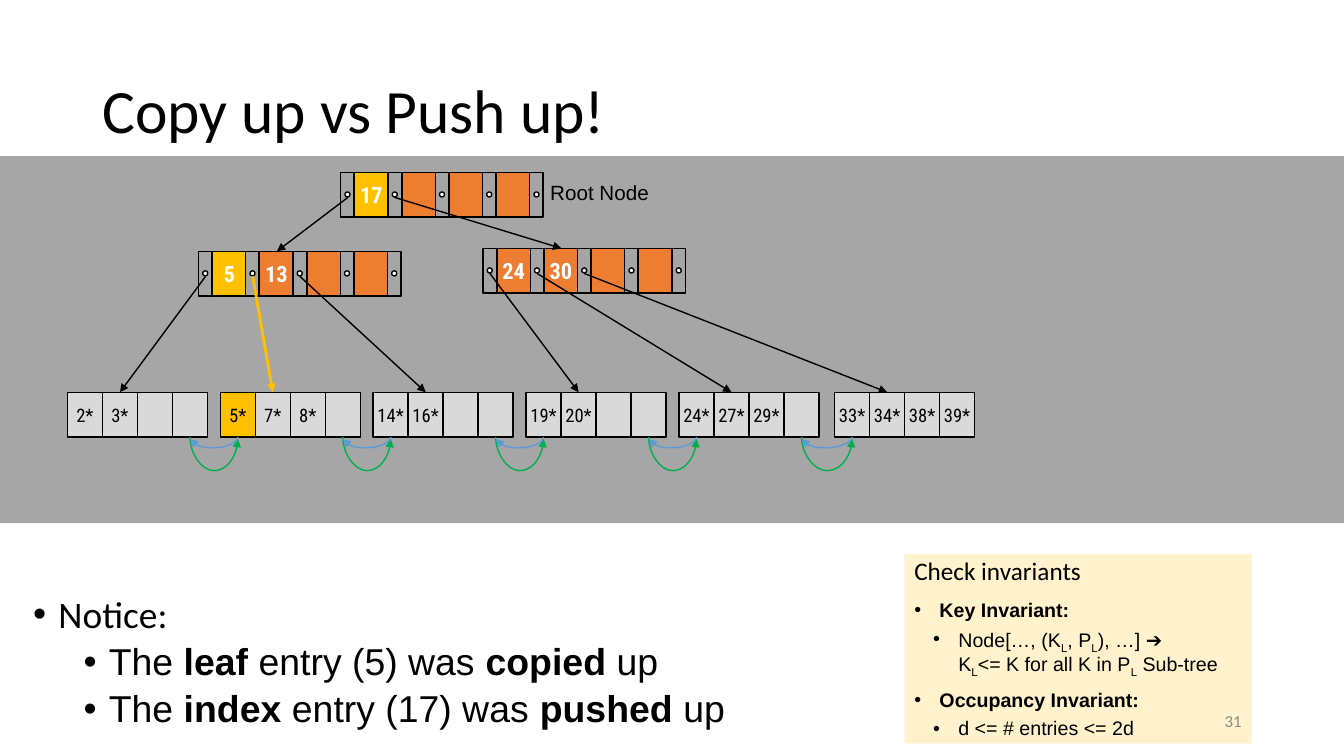
import pptx
import pptx.dml.color
import pptx.enum.shapes
import pptx.enum.text
import pptx.oxml
import pptx.oxml.ns
import pptx.util

Pt = pptx.util.Pt
RGBColor = pptx.dml.color.RGBColor
SHAPE = pptx.enum.shapes.MSO_SHAPE
CONNECTOR = pptx.enum.shapes.MSO_CONNECTOR
ALIGN = pptx.enum.text.PP_ALIGN
ANCHOR = pptx.enum.text.MSO_ANCHOR
qn = pptx.oxml.ns.qn

BLACK = RGBColor(0x00, 0x00, 0x00)
WHITE = RGBColor(0xFF, 0xFF, 0xFF)
BAND_GREY = RGBColor(0xA6, 0xA6, 0xA6)
POINTER_GREY = RGBColor(0xA5, 0xA5, 0xA5)
LEAF_GREY = RGBColor(0xD9, 0xD9, 0xD9)
NUMBER_GREY = RGBColor(0x8C, 0x8C, 0x8C)
ORANGE = RGBColor(0xED, 0x7D, 0x31)
GOLD = RGBColor(0xFF, 0xC0, 0x00)
CREAM = RGBColor(0xFF, 0xF2, 0xCC)
GREEN = RGBColor(0x00, 0xB0, 0x50)
BLUE = RGBColor(0x5B, 0x9B, 0xD5)

CELL_HEIGHT = 32
KEY_WIDTH, POINTER_WIDTH, KEY_PITCH = 24, 9.6, 33.75
KEYS_PER_NODE = 4
LEAF_CELL_WIDTH = 25

# Each index node: left, top, keys. Root first, then its two children.
INDEX_NODES = [
    (243.4, 123.1, ["17"]),
    (141.8, 179.5, ["5", "13"]),
    (345, 177.4, ["24", "30"]),
]
LEAVES = [["2*", "3*"], ["5*", "7*", "8*"], ["14*", "16*"],
          ["19*", "20*"], ["24*", "27*", "29*"], ["33*", "34*", "38*", "39*"]]
LEAF_TOP = 280.2
LEAF_LEFTS = [48.2 + 109.2 * position for position in range(5)] + [596.2]
HIGHLIGHTED = {"17", "5", "5*"}


def add_block(shapes, kind, left, top, width, height, fill, outlined=True):
    block = shapes.add_shape(kind, Pt(left), Pt(top), Pt(width), Pt(height))
    block.shadow.inherit = False
    block.fill.solid()
    block.fill.fore_color.rgb = fill
    if outlined:
        block.line.color.rgb = BLACK
        block.line.width = Pt(1)
    else:
        block.line.fill.background()
    return block


def format_runs(paragraph, font, size, color, bold=None):
    for run in paragraph.runs:
        run.font.name = font
        run.font.size = Pt(size)
        run.font.color.rgb = color
        if bold is not None:
            run.font.bold = bold


def write_entry(cell, entry, size, color, bold):
    frame = cell.text_frame
    frame.margin_left = frame.margin_right = 0
    frame.vertical_anchor = ANCHOR.MIDDLE
    frame.word_wrap = False
    frame.text = entry
    frame.paragraphs[0].alignment = ALIGN.CENTER
    format_runs(frame.paragraphs[0], "Roboto Condensed", size, color, bold)


def add_index_node(slide, left, top, keys):
    node = slide.shapes.add_group_shape().shapes
    for slot in range(KEYS_PER_NODE + 1):
        pointer_left = left + slot * KEY_PITCH
        add_block(node, SHAPE.RECTANGLE, pointer_left, top, POINTER_WIDTH, CELL_HEIGHT, POINTER_GREY)
        add_block(node, SHAPE.OVAL, pointer_left + 3, top + 14, 3.6, 3.6, WHITE)
        if slot < KEYS_PER_NODE:
            key = keys[slot] if slot < len(keys) else ""
            fill = GOLD if key in HIGHLIGHTED else ORANGE
            cell = add_block(node, SHAPE.RECTANGLE, pointer_left + 9.9, top, KEY_WIDTH, CELL_HEIGHT, fill)
            if key:
                write_entry(cell, key, 16, WHITE, True)


def add_leaf(slide, left, top, entries):
    leaf = slide.shapes.add_group_shape().shapes
    for slot in range(4):
        entry = entries[slot] if slot < len(entries) else ""
        fill = GOLD if entry in HIGHLIGHTED else LEAF_GREY
        cell = add_block(leaf, SHAPE.RECTANGLE, left + slot * LEAF_CELL_WIDTH, top,
                         LEAF_CELL_WIDTH, CELL_HEIGHT, fill)
        if entry:
            write_entry(cell, entry, 13.3, BLACK, False)


def add_arrow(slide, kind, start, end, color, width=1):
    arrow = slide.shapes.add_connector(kind, *(Pt(length) for length in start + end))
    arrow.line.color.rgb = color
    arrow.line.width = Pt(width)
    pptx.oxml.ns  # namespace helpers
    line = arrow.line._get_or_add_ln()
    line.append(line.makeelement(qn("a:tailEnd"), {"type": "triangle"}))
    properties = arrow.element.spPr
    properties.append(properties.makeelement(qn("a:effectLst"), {}))
    return arrow


def add_child_arrow(slide, parent, slot, child, color=BLACK, width=1):
    start = (parent[0] + slot * KEY_PITCH + 5, parent[1] + 18)
    add_arrow(slide, CONNECTOR.STRAIGHT, start, child, color, width)


def add_sibling_link(slide, left, right, top, color, rotation, flipped, bend):
    """Hang a U-shaped arrow below two leaves: a turned, curved connector."""
    rise, span = 1.32, right - left
    center_x, center_y = (left + right) / 2, top + rise / 2
    start = (center_x - rise / 2, center_y - span / 2)
    end = (center_x + rise / 2, center_y + span / 2)
    link = add_arrow(slide, CONNECTOR.CURVE, start, end, color)
    transform = link.element.spPr.find(qn("a:xfrm"))
    transform.set("rot", str(rotation * 60000))
    if flipped:
        transform.set("flipH", "1")
    guides = link.element.spPr.find(qn("a:prstGeom")).find(qn("a:avLst"))
    guides.append(guides.makeelement(qn("a:gd"), {"name": "adj1", "fmla": f"val {bend}"}))


def add_tree(slide):
    add_block(slide.shapes, SHAPE.RECTANGLE, 0, 111.6, 960, 262.1, BAND_GREY, outlined=False)
    for left, top, keys in INDEX_NODES:
        add_index_node(slide, left, top, keys)
    for left, entries in zip(LEAF_LEFTS, LEAVES):
        add_leaf(slide, left, LEAF_TOP, entries)

    root, *children = INDEX_NODES
    for slot, child in enumerate(children):
        add_child_arrow(slide, root, slot, (child[0] + 56, child[1]))
    for position, (left, entries) in enumerate(zip(LEAF_LEFTS, LEAVES)):
        copied = entries[0] in HIGHLIGHTED
        add_child_arrow(slide, children[position // 3], position % 3, (left + 37.5, LEAF_TOP),
                        GOLD if copied else BLACK, 2 if copied else 1)

    for left, next_left in zip(LEAF_LEFTS, LEAF_LEFTS[1:]):
        ends = (left + 3.5 * LEAF_CELL_WIDTH, next_left + LEAF_CELL_WIDTH / 2, LEAF_TOP + CELL_HEIGHT)
        add_sibling_link(slide, *ends, GREEN, 270, True, 1800000)
        add_sibling_link(slide, *ends, BLUE, 90, False, 575000)
    add_label(slide, 385.9, 124.6, 85.7, 25.2, "Root Node", "Arial", 14.7, BLACK)


def add_label(slide, left, top, width, height, words, font, size, color, alignment=ALIGN.LEFT):
    label = slide.shapes.add_textbox(Pt(left), Pt(top), Pt(width), Pt(height))
    label.text_frame.text = words
    label.text_frame.vertical_anchor = ANCHOR.MIDDLE
    label.text_frame.paragraphs[0].alignment = alignment
    format_runs(label.text_frame.paragraphs[0], font, size, color)


def write_item(paragraph, segments, font, size, indent=None, before=0, subscript=False):
    """Write segments, every second one bold or, if asked, subscript."""
    if indent is not None:
        properties = paragraph._p.get_or_add_pPr()
        properties.set("marL", str(Pt(indent)))
        properties.set("indent", str(Pt(-18)))
        properties.append(properties.makeelement(qn("a:buFont"), {"typeface": "Arial"}))
        properties.append(properties.makeelement(qn("a:buChar"), {"char": "•"}))
    paragraph.alignment = ALIGN.LEFT
    paragraph.line_spacing = 0.9
    paragraph.space_before = Pt(before)
    for position, segment in enumerate(segments):
        for row, words in enumerate(segment.split("\v")):
            if row:
                paragraph.add_line_break()
            run = paragraph.add_run()
            run.text = words
            if position % 2 and subscript:
                run._r.get_or_add_rPr().set("baseline", "-25000")
            else:
                run.font.bold = position % 2 == 1
    format_runs(paragraph, font, size, BLACK)


def place(placeholder, left, top, width, height):
    placeholder.left, placeholder.top = Pt(left), Pt(top)
    placeholder.width, placeholder.height = Pt(width), Pt(height)
    placeholder.text_frame.auto_size = pptx.enum.text.MSO_AUTO_SIZE.NONE


def fill_title(title, left, top, width, height):
    place(title, left, top, width, height)
    title.text_frame.vertical_anchor = ANCHOR.MIDDLE
    write_item(title.text_frame.paragraphs[0], ["Copy up vs Push up!"], "Calibri", 44)


def fill_notice(body, left, top, width, height):
    place(body, left, top, width, height)
    frame = body.text_frame
    write_item(frame.paragraphs[0], ["Notice:"], "Calibri", 26.7, indent=18)
    for segments in (["The ", "leaf", " entry (5) was ", "copied", " up"],
                     ["The ", "index", " entry (17) was ", "pushed ", "up"]):
        point = frame.add_paragraph()
        point.level = 1
        write_item(point, segments, "Arial", 26.7, indent=54, before=5)


def add_invariants(slide, left, top, width, height):
    panel = add_block(slide.shapes, SHAPE.RECTANGLE, left, top, width, height, CREAM, outlined=False)
    frame = panel.text_frame
    frame.word_wrap = True
    frame.vertical_anchor = ANCHOR.TOP
    write_item(frame.paragraphs[0], ["Check invariants"], "Calibri", 18)
    pointer_rule = ["Node[…, (K", "L", ", P", "L", "), …] ➔ \vK", "L",
                    "<= K for all K in P", "L", " Sub-tree"]
    for name, rule in (("Key Invariant:", pointer_rule),
                       ("Occupancy Invariant:", ["d <= # entries <= 2d"])):
        write_item(frame.add_paragraph(), ["", name], "Arial", 14, indent=18, before=10)
        detail = frame.add_paragraph()
        detail.level = 2
        write_item(detail, rule, "Arial", 14, indent=31.5, before=5, subscript=True)


def main():
    deck = pptx.Presentation()
    deck.slide_width, deck.slide_height = Pt(960), Pt(540)
    slide = deck.slides.add_slide(deck.slide_layouts[1])
    fill_title(slide.shapes.title, 66, 28.75, 828, 104.4)
    fill_notice(slide.placeholders[1], 16.5, 422, 864, 118)
    add_tree(slide)
    add_invariants(slide, 646, 395.8, 248, 135.2)
    add_label(slide, 678, 500.5, 216, 28.8, "31", "Calibri", 12, NUMBER_GREY, ALIGN.RIGHT)
    deck.save("out.pptx")


if __name__ == "__main__":
    main()
